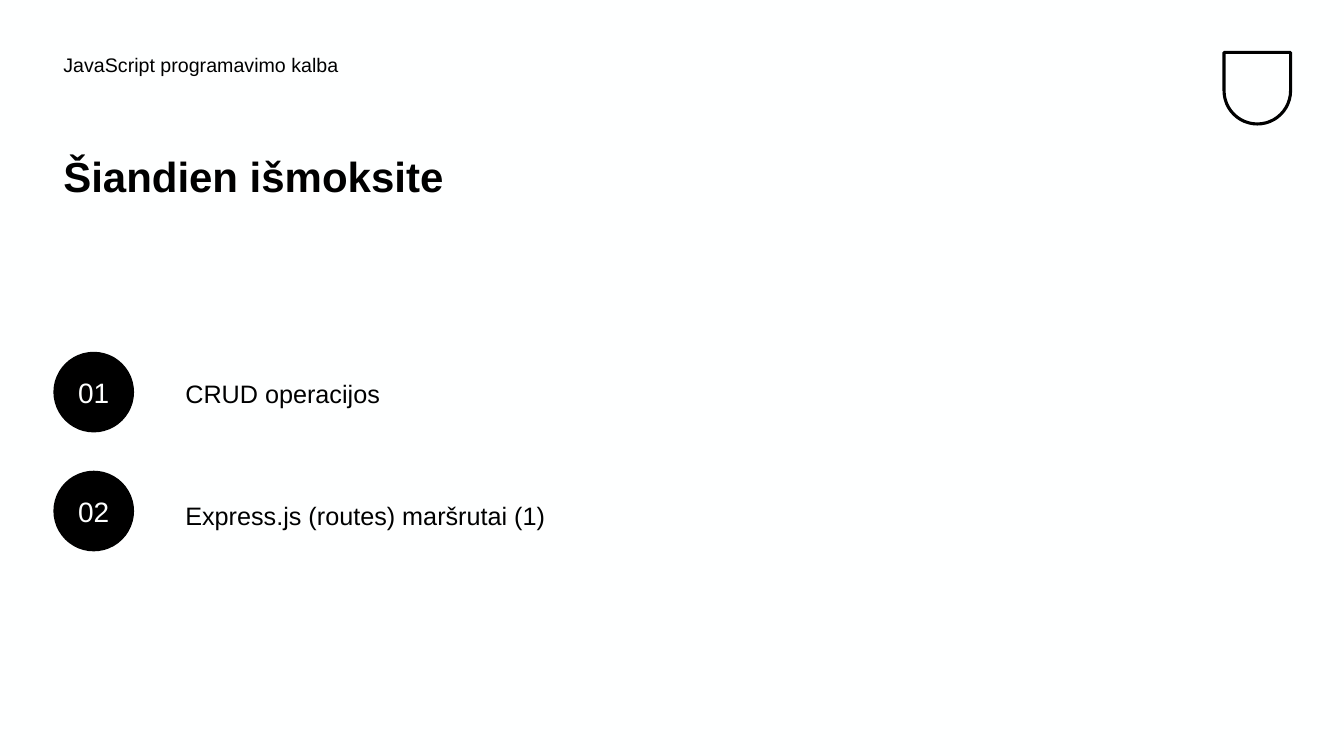
from pptx import Presentation
from pptx.dml.color import RGBColor
from pptx.enum.shapes import MSO_SHAPE
from pptx.enum.text import MSO_ANCHOR, PP_ALIGN
from pptx.util import Inches, Pt

HUES = {"ink": "000000", "paper": "FEFFFF"}


def hue(name):
    return RGBColor.from_string(HUES[name])


class Deck:
    """Holds the text style and the current slide."""

    def __init__(self, wide, high):
        self.prs = Presentation()
        self.prs.slide_width = Inches(wide)
        self.prs.slide_height = Inches(high)
        self.face = "Arial"
        self.slide = None

    def page(self):
        self.slide = self.prs.slides.add_slide(self.prs.slide_layouts[6])
        fill = self.slide.background.fill
        fill.solid()
        fill.fore_color.rgb = hue("paper")

    def words(self, frame, text, size, tint="ink", bold=False, **form):
        frame.word_wrap = True
        para = frame.paragraphs[0]
        for key, val in form.items():
            setattr(para, key, val)
        run = para.add_run()
        run.text = text
        look = {"name": self.face, "size": Pt(size), "bold": bold}
        for key, val in look.items():
            setattr(run.font, key, val)
        run.font.color.rgb = hue(tint)

    def label(self, box, text, size, **form):
        area = self.slide.shapes.add_textbox(*map(Inches, box))
        self.words(area.text_frame, text, size, **form)

    def badge(self, box, text):
        disc = self.slide.shapes.add_shape(MSO_SHAPE.OVAL, *map(Inches, box))
        disc.shadow.inherit = False
        disc.fill.solid()
        disc.fill.fore_color.rgb = hue("ink")
        disc.line.fill.background()
        disc.text_frame.vertical_anchor = MSO_ANCHOR.MIDDLE
        self.words(disc.text_frame, text, 20, "paper", alignment=PP_ALIGN.CENTER)

    def shield(self, box):
        crest = self.slide.shapes.add_shape(
            MSO_SHAPE.ROUND_2_SAME_RECTANGLE, *map(Inches, box))
        crest.adjustments[0] = 0.5
        crest.rotation = 180
        crest.shadow.inherit = False
        crest.fill.background()
        crest.line.color.rgb = hue("ink")
        crest.line.width = Pt(2.2)


def main():
    deck = Deck(13.33, 7.5)
    deck.page()

    # Crest in the corner
    deck.shield((12.14, 0.52, 0.66, 0.71))

    # Course name and title
    deck.label((0.53, 0.5, 7.42, 0.5), "JavaScript programavimo kalba", 14,
               line_spacing=0.9)
    deck.label((0.53, 1.5, 5.64, 1.49), "Šiandien išmoksite", 30,
               bold=True, line_spacing=0.9)

    # Numbered topics
    topics = ["CRUD operacijos", "Express.js (routes) maršrutai (1)"]
    for row, topic in enumerate(topics):
        deck.badge((0.53, 3.49 + 1.18 * row, 0.8, 0.8), f"{row + 1:02}")
        deck.label((1.74, 3.7 + 1.21 * row, 4.63, 0.45), topic, 18)

    deck.prs.save("out.pptx")


if __name__ == "__main__":
    main()
